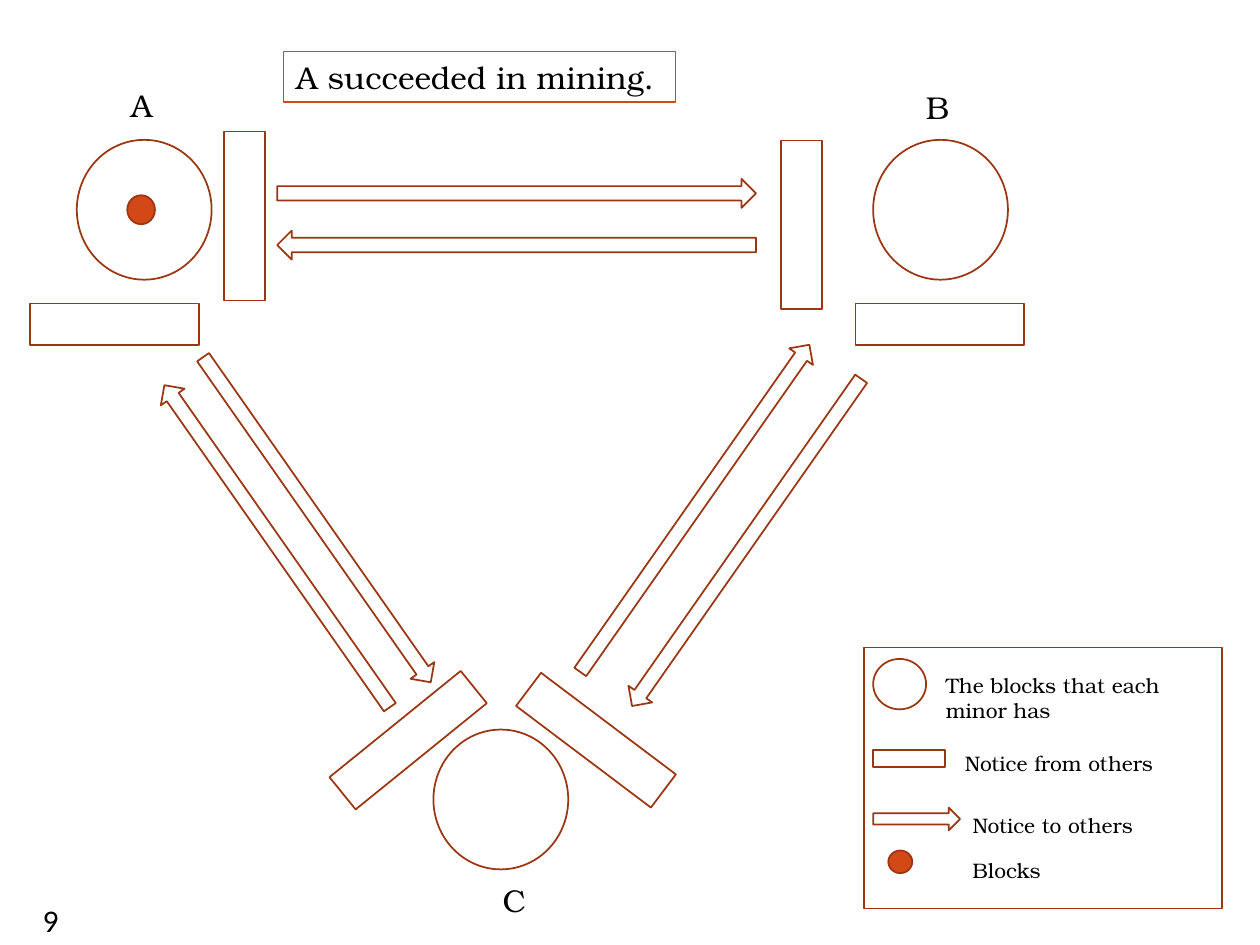
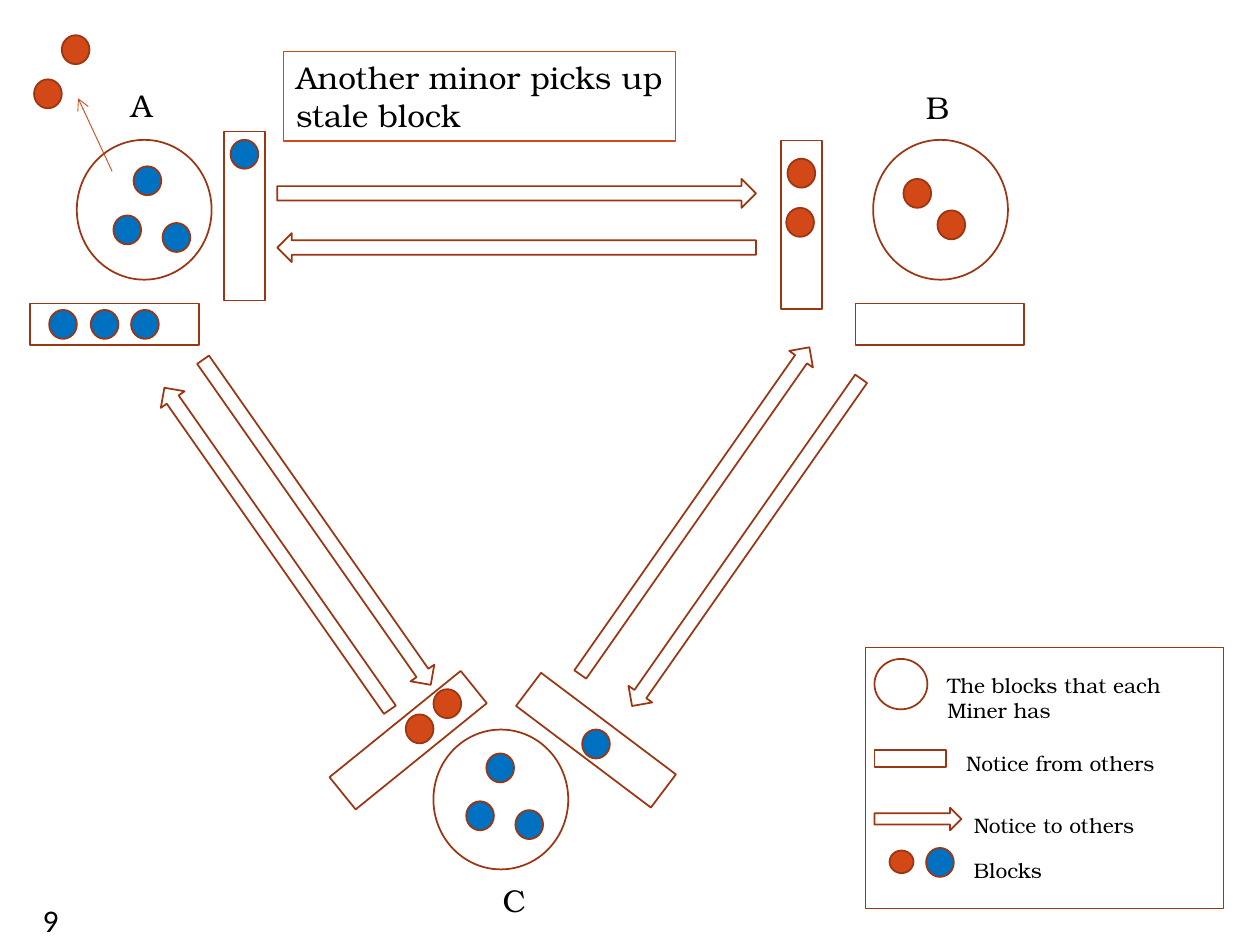
import lxml.etree
import pptx
import pptx.dml.color
import pptx.enum.shapes
import pptx.enum.text
import pptx.oxml.ns
import pptx.util

Inches = pptx.util.Inches
ELLIPSE = pptx.enum.shapes.MSO_SHAPE.OVAL
RECTANGLE = pptx.enum.shapes.MSO_SHAPE.RECTANGLE
ARROW = pptx.enum.shapes.MSO_SHAPE.RIGHT_ARROW
RED, BLUE, OUTLINE, BLACK = "D34817", "0070C0", "9C3511", "000000"
SERIF, SANS = "TeX Gyre Bonum", "Calibri"


def draw(shapes, kind, left, top, width, height, rotation=0, fill=None):
    shape = shapes.add_shape(kind, Inches(left), Inches(top), Inches(width), Inches(height))
    shape.shadow.inherit = False
    shape.rotation = rotation
    if fill:
        shape.fill.solid()
        shape.fill.fore_color.rgb = pptx.dml.color.RGBColor.from_string(fill)
    else:
        shape.fill.background()
    shape.line.color.rgb = pptx.dml.color.RGBColor.from_string(OUTLINE)
    shape.line.width = pptx.util.Pt(1)


def write(box, text, left, top, width, height, size=18, font=SERIF):
    place = {"left": left, "top": top, "width": width, "height": height}
    for name, value in place.items():
        setattr(box, name, Inches(value))
    frame_format = {
        "word_wrap": True,
        "auto_size": pptx.enum.text.MSO_AUTO_SIZE.NONE,
        "vertical_anchor": pptx.enum.text.MSO_ANCHOR.TOP,
    }
    for name, value in frame_format.items():
        setattr(box.text_frame, name, value)
    para = box.text_frame.paragraphs[0]
    para.alignment = pptx.enum.text.PP_ALIGN.LEFT
    span = para.add_run()
    span.text = text
    for name, value in {"size": pptx.util.Pt(size), "name": font}.items():
        setattr(span.font, name, value)
    span.font.color.rgb = pptx.dml.color.RGBColor.from_string(BLACK)


miners = [(0.61, 1.11), (3.44, 5.79), (6.93, 1.11)]
inboxes = [
    (5.69, 1.62, 90), (1.27, 1.55, 90), (6.79, 2.41, 0),
    (4.06, 5.71, 37), (0.24, 2.41, 0), (2.57, 5.71, 321),
]
fixed_arrows = [(2.2, 1.42, 3.8, 0), (4.34, 4.19, 3.17, 125)]
shifted_arrows = [
    (2.2, 1.83, 3.8, 180), (3.93, 3.92, 3.17, 305),
    (0.64, 4.22, 3.12, 235), (0.94, 4.01, 3.15, 55),
]
miner_names = [("A", 0.94, 0.63), ("B", 7.25, 0.65), ("C", 3.89, 6.94)]
legend_shapes = [
    (ELLIPSE, 6.93, 5.23, 0.42, 0.4, None),
    (RECTANGLE, 6.93, 5.95, 0.57, 0.14, None),
    (ARROW, 6.93, 6.41, 0.69, 0.18, None),
    (RECTANGLE, 6.86, 5.14, 2.84, 2.07, None),
    (ELLIPSE, 7.05, 6.75, 0.19, 0.18, RED),
]
legend_texts = [
    ("Notice from others", 7.56, 5.91, 2.19, 0.3),
    ("Notice to others", 7.62, 6.4, 1.72, 0.3),
    ("Blocks", 7.62, 6.76, 1.44, 0.3),
]
scenes = [
    {
        "title": "A succeeded in mining.",
        "title_height": 0.4,
        "owner": "minor",
        "arrow_shift": 0,
        "legend_shift": 0,
        "blocks": {RED: [(1.01, 1.55)]},
    },
    {
        "title": "Another minor picks up stale block",
        "title_height": 0.71,
        "owner": "Miner",
        "arrow_shift": 0.02,
        "legend_shift": 0.01,
        "blocks": {
            RED: [
                (3.44, 5.47), (3.22, 5.67), (7.17, 1.42), (7.44, 1.67),
                (6.25, 1.26), (6.24, 1.65), (0.27, 0.63), (0.49, 0.28),
            ],
            BLUE: [
                (1.83, 1.11), (4.62, 5.79), (7.35, 6.73),
                (3.86, 5.98), (3.7, 6.36), (4.09, 6.43),
                (0.39, 2.46), (0.72, 2.46), (1.04, 2.46),
                (1.06, 1.32), (0.9, 1.71), (1.29, 1.77),
            ],
        },
    },
]

deck = pptx.Presentation()
deck.slide_width = Inches(10)
deck.slide_height = Inches(7.5)

for scene in scenes:
    page = deck.slides.add_slide(deck.slide_layouts[5])
    title = page.shapes.title
    write(title, scene["title"], 2.25, 0.41, 3.11, scene["title_height"])
    title.line.color.rgb = pptx.dml.color.RGBColor.from_string(RED)
    title.line.width = pptx.util.Pt(0.75)

    for left, top in miners:
        draw(page.shapes, ELLIPSE, left, top, 1.07, 1.11)
    for left, top, rotation in inboxes:
        draw(page.shapes, RECTANGLE, left, top, 1.34, 0.33, rotation)
    for left, top, length, rotation in fixed_arrows:
        draw(page.shapes, ARROW, left, top, length, 0.23, rotation)
    for left, top, length, rotation in shifted_arrows:
        draw(page.shapes, ARROW, left, top + scene["arrow_shift"], length, 0.23, rotation)
    for name, left, top in miner_names:
        write(page.shapes.add_textbox(0, 0, 0, 0), name, left, top, 0.42, 0.4)

    legend = page.shapes.add_group_shape()
    shift = scene["legend_shift"]
    for kind, left, top, width, height, fill in legend_shapes:
        draw(legend.shapes, kind, left + shift, top, width, height, fill=fill)
    owner_text = (f"The blocks that each {scene['owner']} has", 7.41, 5.29, 2.26, 0.5)
    for text, left, top, width, height in [owner_text] + legend_texts:
        box = legend.shapes.add_textbox(0, 0, 0, 0)
        write(box, text, left + shift, top, width, height, size=12)

    write(page.shapes.add_textbox(0, 0, 0, 0), "9", 0.24, 7.1, 0.8, 0.4, font=SANS)

    for colour, places in scene["blocks"].items():
        for left, top in places:
            draw(page.shapes, ELLIPSE, left, top, 0.22, 0.23, fill=colour)

discard = page.shapes.add_connector(
    pptx.enum.shapes.MSO_CONNECTOR.STRAIGHT, Inches(0.89), Inches(1.36), Inches(0.62), Inches(0.78)
)
discard.line.color.rgb = pptx.dml.color.RGBColor.from_string(RED)
discard.line.width = pptx.util.Pt(0.5)
qn = pptx.oxml.ns.qn
outline = discard.line._get_or_add_ln()
lxml.etree.SubElement(outline, qn("a:tailEnd"), type="arrow")
lxml.etree.SubElement(discard._element.spPr, qn("a:effectLst"))

deck.save("out.pptx")
